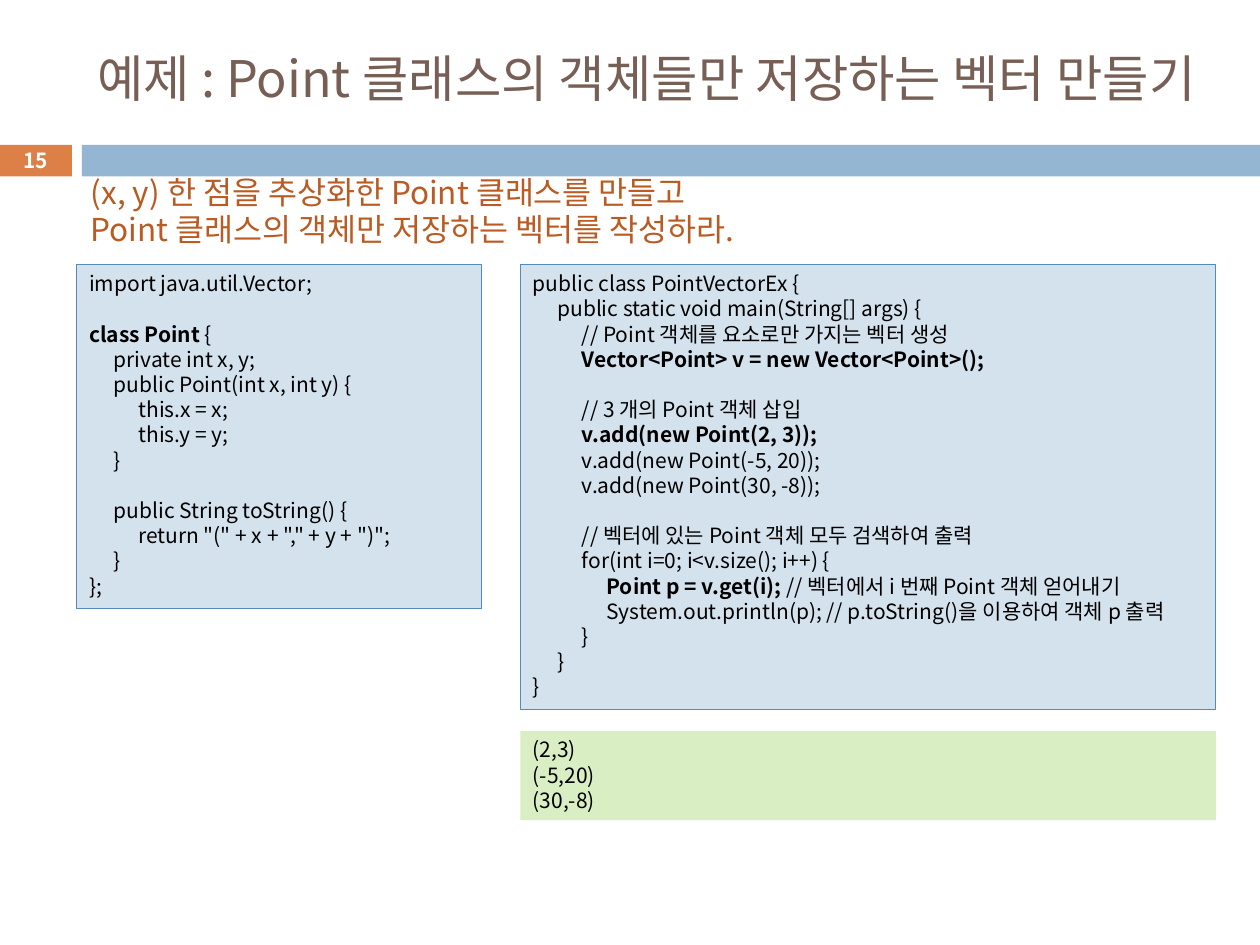
from lxml import etree
from pptx import Presentation
from pptx.dml.color import RGBColor
from pptx.enum.shapes import MSO_SHAPE
from pptx.enum.text import MSO_ANCHOR, MSO_AUTO_SIZE, PP_ALIGN
from pptx.oxml.ns import qn
from pptx.util import Inches, Pt

RECTANGLE = MSO_SHAPE.RECTANGLE
TOP, MIDDLE = MSO_ANCHOR.TOP, MSO_ANCHOR.MIDDLE
LEFT, CENTER = PP_ALIGN.LEFT, PP_ALIGN.CENTER
NO_AUTOFIT = MSO_AUTO_SIZE.NONE
FONT = "Noto Sans CJK KR"
TAB_STEP = 0.195
TAB_LEVELS = 3
TITLE_ONLY = 5

COLORS = {
    "title": "775F55",
    "question": "B95B22",
    "number": "DD8047",
    "bar": "94B6D2",
    "code": "D4E2ED",
    "border": "558BB8",
    "output": "DAEEC4",
    "white": "FFFFFF",
    "black": "000000",
}

TITLE = "예제 : Point 클래스의 객체들만 저장하는 벡터 만들기"
QUESTION = """(x, y) 한 점을 추상화한 Point 클래스를 만들고
Point 클래스의 객체만 저장하는 벡터를 작성하라."""
POINT_CODE = """import java.util.Vector;

**class Point **{
\tprivate int x, y;
\tpublic Point(int x, int y) {
\t\tthis.x = x;
\t\tthis.y = y;
\t}

\tpublic String toString() {
\t\treturn "(" + x + "," + y + ")";
\t}
};"""
VECTOR_CODE = """public class PointVectorEx {
\tpublic static void main(String[] args) {
\t\t// Point 객체를 요소로만 가지는 벡터 생성
\t\t**Vector<Point> v = new Vector<Point>();**

\t\t// 3 개의 Point 객체 삽입
\t\t**v.add(new Point(2, 3));**
\t\tv.add(new Point(-5, 20));
\t\tv.add(new Point(30, -8));

\t\t// 벡터에 있는 Point 객체 모두 검색하여 출력
\t\tfor(int i=0; i<v.size(); i++) {
\t\t\t**Point p = v.get(i);** // 벡터에서 i 번째 Point 객체 얻어내기
\t\t\tSystem.out.println(p); // p.toString()을 이용하여 객체 p 출력
\t\t}
\t}
}"""
OUTPUT = """(2,3)
(-5,20)
(30,-8)"""


def color(name):
    return RGBColor.from_string(COLORS[name])


def format_paragraph(paragraph, size, spacing, color_name, align):
    paragraph.alignment = align
    paragraph.line_spacing = Pt(spacing)
    font = paragraph.font
    font.name = FONT
    font.size = Pt(size)
    font.color.rgb = color(color_name)
    properties = paragraph._p.get_or_add_pPr()
    defaults = properties.find(qn("a:defRPr"))
    etree.SubElement(defaults, qn("a:ea"), typeface=FONT)
    return properties, defaults


def add_tab_stops(properties, defaults):
    tabs = etree.Element(qn("a:tabLst"))
    for level in range(1, TAB_LEVELS + 1):
        position = str(Inches(TAB_STEP * level))
        etree.SubElement(tabs, qn("a:tab"), pos=position, algn="l")
    defaults.addprevious(tabs)


def write_text(shape, text, size, spacing, color_name="black",
               align=LEFT, anchor=TOP, wrap=True):
    frame = shape.text_frame
    frame.word_wrap = wrap
    frame.auto_size = NO_AUTOFIT
    frame.vertical_anchor = anchor
    paragraph, gap = frame.paragraphs[0], 0
    for index, line in enumerate(text.split("\n")):
        if not line:
            gap = spacing
            continue
        if index:
            paragraph = frame.add_paragraph()
        properties, defaults = format_paragraph(
            paragraph, size, spacing, color_name, align)
        if "\t" in line:
            add_tab_stops(properties, defaults)
        paragraph.space_before = Pt(gap)
        gap = 0
        for part_index, part in enumerate(line.split("**")):
            if part:
                run = paragraph.add_run()
                run.text = part
                if part_index % 2:
                    run.font.bold = True


def add_box(slide, left, top, width, height, fill, border=None):
    shape = slide.shapes.add_shape(
        RECTANGLE, Inches(left), Inches(top), Inches(width), Inches(height))
    shape.shadow.inherit = False
    shape.fill.solid()
    shape.fill.fore_color.rgb = color(fill)
    if border:
        shape.line.color.rgb = color(border)
        shape.line.width = Pt(0.75)
    else:
        shape.line.fill.background()
    return shape


def add_code(slide, left, top, width, height, text, fill="code", border="border"):
    box = add_box(slide, left, top, width, height, fill, border)
    write_text(box, text, 12, 14.4)


def add_title(slide):
    title = slide.shapes.title
    title.left, title.top = Inches(0.67), Inches(0.25)
    title.width, title.height = Inches(8.92), Inches(0.74)
    write_text(title, TITLE, 28.8, 33.7, "title", anchor=MIDDLE)


def add_question(slide):
    box = slide.shapes.add_textbox(
        Inches(0.62), Inches(1.33), Inches(5.75), Inches(0.71))
    write_text(box, QUESTION, 18, 21.1, "question", wrap=False)


def main():
    presentation = Presentation()
    presentation.slide_width = Inches(10)
    presentation.slide_height = Inches(7.5)
    slide = presentation.slides.add_slide(presentation.slide_layouts[TITLE_ONLY])

    number = add_box(slide, -0.01, 1.15, 0.58, 0.25, "number")
    write_text(number, "**15**", 11.9, 14.2, "white", CENTER, MIDDLE)
    add_box(slide, 0.65, 1.15, 9.35, 0.25, "bar")
    add_title(slide)
    add_code(slide, 0.61, 2.1, 3.21, 2.73, POINT_CODE)
    add_code(slide, 4.13, 5.8, 5.52, 0.71, OUTPUT, "output", None)
    add_code(slide, 4.13, 2.1, 5.52, 3.53, VECTOR_CODE)
    add_question(slide)
    presentation.save("out.pptx")


if __name__ == "__main__":
    main()
